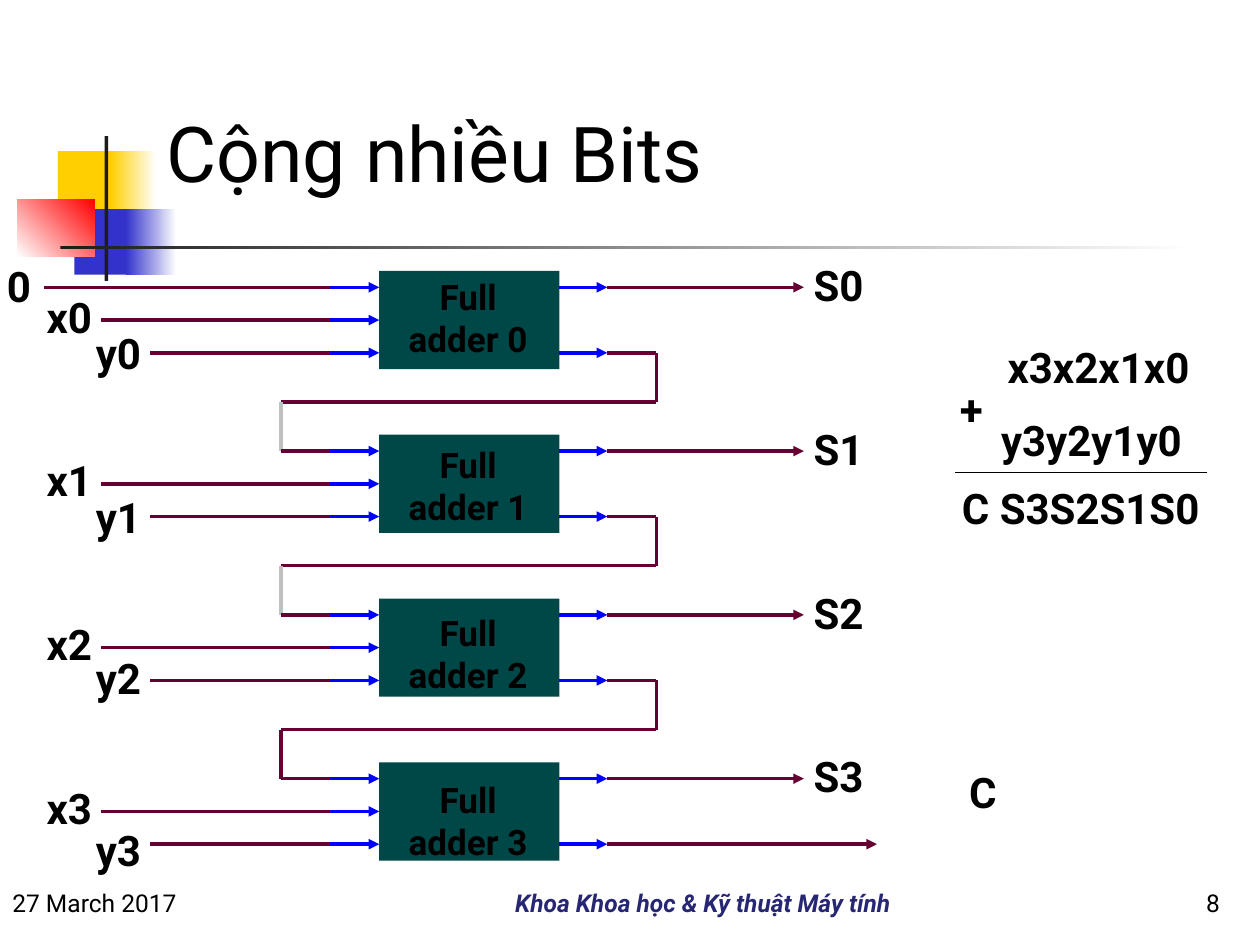
from dataclasses import dataclass

from lxml import etree
from pptx import Presentation
from pptx import util as u
from pptx.dml.color import RGBColor
from pptx.enum import shapes, text
from pptx.oxml.ns import qn


@dataclass(frozen=True)
class Theme:
    font: str = "Roboto"
    ink: str = "000000"
    footer: str = "262673"
    adder: str = "004747"
    port: str = "0000FF"
    wire: str = "660033"
    pale_wire: str = "C0C0C0"
    yellow: str = "FFCF01"
    blue: str = "3333CC"
    red: str = "FF0000"
    rule: str = "1C1C1C"
    white: str = "FFFFFF"
    title_size: int = 44
    label_size: int = 24
    adder_size: int = 20
    footer_size: int = 14
    wire_width: float = 2
    sum_width: float = 0.75


THEME = Theme()
PITCH = 1.3
PORT_TOP, PORT_GAP = 2.28, 0.26
CARRY_IN, PORT_IN, BOX_LEFT = 2.23, 2.62, 3.01
BOX_RIGHT, PORT_OUT, CARRY_OUT = 4.44, 4.82, 5.21
SUM_END, FINAL_CARRY_END = 6.38, 6.96
X_START, Y_START, ZERO_START = 0.8, 1.19, 0.35
Y_LABEL_TOPS = [2.56, 3.86, 5.14, 6.5]
CENTER, RIGHT = text.PP_ALIGN.CENTER, text.PP_ALIGN.RIGHT


def inches(*lengths):
    return [u.Inches(length) for length in lengths]


def color(value):
    return RGBColor.from_string(value)


def format_runs(text_frame, size, ink=THEME.ink, bold=False, italic=False, align=None):
    for paragraph in text_frame.paragraphs:
        paragraph.alignment = align
        for run in paragraph.runs:
            run.font.name = THEME.font
            run.font.size = u.Pt(size)
            run.font.color.rgb = color(ink)
            run.font.bold = bold
            run.font.italic = italic


def add_block(slide, box, fill, end=None, angle=0):
    shape = slide.shapes.add_shape(shapes.MSO_SHAPE.RECTANGLE, *inches(*box))
    shape.shadow.inherit = False
    shape.line.fill.background()
    if end is None:
        shape.fill.solid()
        shape.fill.fore_color.rgb = color(fill)
    else:
        shape.fill.gradient()
        shape.fill.gradient_angle = angle
        for stop, value in zip(shape.fill.gradient_stops, (fill, end)):
            stop.color.rgb = color(value)
    return shape


def add_wire(slide, start, end, ink=THEME.wire, arrow=False, width=THEME.wire_width):
    connector = slide.shapes.add_connector(
        shapes.MSO_CONNECTOR.STRAIGHT, *inches(*start, *end))
    connector.line.color.rgb = color(ink)
    connector.line.width = u.Pt(width)
    if arrow:
        tail = etree.SubElement(connector.line._get_or_add_ln(), qn("a:tailEnd"))
        tail.set("type", "triangle")
    etree.SubElement(connector._element.spPr, qn("a:effectLst"))
    return connector


def add_label(slide, box, words, size=THEME.label_size, align=CENTER):
    shape = slide.shapes.add_textbox(*inches(*box))
    frame = shape.text_frame
    frame.word_wrap = True
    frame.margin_left = frame.margin_right = u.Inches(0.04)
    frame.margin_top = frame.margin_bottom = u.Inches(0.04)
    frame.text = words
    format_runs(frame, size, bold=True, align=align)


def add_footer(slide, box, words, align=None, ink=THEME.ink, strong=False):
    shape = slide.shapes.add_textbox(*inches(*box))
    frame = shape.text_frame
    frame.word_wrap = True
    frame.vertical_anchor = text.MSO_ANCHOR.BOTTOM
    frame.text = words
    format_runs(frame, THEME.footer_size, ink, strong, strong, align)


def add_decoration(slide):
    add_block(slide, (0.46, 1.2, 0.48, 0.52), THEME.yellow)
    add_block(slide, (0.88, 1.2, 0.36, 0.52), THEME.yellow, THEME.white)
    add_block(slide, (0.59, 1.66, 0.46, 0.52), THEME.blue)
    add_block(slide, (1, 1.66, 0.4, 0.52), THEME.blue, THEME.white)
    add_block(slide, (0.14, 1.58, 0.61, 0.46), THEME.white, THEME.red, 45)
    add_block(slide, (0.83, 1.08, 0.03, 1.15), THEME.rule)
    add_block(slide, (0.48, 1.95, 9, 0.03), THEME.rule, THEME.white)


def set_title(slide, words):
    title = slide.shapes.title
    title.left, title.top, title.width, title.height = inches(1.22, 0.75, 8.14, 0.9)
    frame = title.text_frame
    frame.text = words
    frame.auto_size = text.MSO_AUTO_SIZE.NONE
    frame.vertical_anchor = text.MSO_ANCHOR.MIDDLE
    format_runs(frame, THEME.title_size, align=text.PP_ALIGN.LEFT)


def add_adder(slide, index):
    shift = index * PITCH
    first, middle, last = [PORT_TOP + shift + row * PORT_GAP for row in range(3)]
    box = add_block(slide, (BOX_LEFT, 2.15 + shift, BOX_RIGHT - BOX_LEFT, 0.78), THEME.adder)

    for y in (first, middle, last):
        port = add_wire(slide, (PORT_IN, y), (BOX_LEFT, y), THEME.port, True)
        if y == middle:
            port.end_connect(box, 1)
    for y in (first, last):
        add_wire(slide, (BOX_RIGHT, y), (PORT_OUT, y), THEME.port, True)

    add_wire(slide, (X_START, middle), (PORT_IN, middle))
    add_wire(slide, (Y_START, last), (PORT_IN, last))
    add_wire(slide, (PORT_OUT, first), (SUM_END, first), arrow=True)

    add_label(slide, (0.27, 2.27 + shift, 0.56, 0.48), f"x{index}")
    add_label(slide, (0.66, Y_LABEL_TOPS[index], 0.56, 0.48), f"y{index}")
    add_label(slide, (SUM_END, 2.02 + shift, 0.55, 0.57), f"S{index}")
    add_label(slide, (3.06, 2.15 + index * 1.33, 1.31, 0.55),
              f"Full adder {index}", THEME.adder_size)


def add_carry(slide, index, drop_ink):
    start = PORT_TOP + index * PITCH + 2 * PORT_GAP
    end = PORT_TOP + (index + 1) * PITCH
    turn = (start + end) / 2
    add_wire(slide, (PORT_OUT, start), (CARRY_OUT, start))
    add_wire(slide, (CARRY_OUT, start), (CARRY_OUT, turn))
    add_wire(slide, (CARRY_IN, turn), (CARRY_OUT, turn))
    add_wire(slide, (CARRY_IN, turn), (CARRY_IN, end), drop_ink)
    add_wire(slide, (CARRY_IN, end), (PORT_IN, end))


def add_sum(slide):
    add_label(slide, (7.2, 2.67, 2.28, 0.52), "x3x2x1x0", align=RIGHT)
    add_label(slide, (7.41, 3, 0.43, 0.52), "+", align=RIGHT)
    add_label(slide, (7.25, 3.25, 2.17, 0.52), "y3y2y1y0", align=RIGHT)
    add_label(slide, (6.25, 3.79, 3.31, 0.54), "C S3S2S1S0", align=RIGHT)
    add_wire(slide, (7.58, 3.75), (9.58, 3.75), THEME.ink, width=THEME.sum_width)


def main():
    presentation = Presentation()
    presentation.slide_width, presentation.slide_height = inches(10, 7.5)
    slide = presentation.slides.add_slide(presentation.slide_layouts[5])
    add_decoration(slide)
    set_title(slide, "Cộng nhiều Bits")

    for index in range(4):
        add_adder(slide, index)
    for index, ink in enumerate((THEME.pale_wire, THEME.pale_wire, THEME.wire)):
        add_carry(slide, index, ink)

    add_label(slide, (0, 2.03, 0.3, 0.46), "0")
    add_wire(slide, (ZERO_START, PORT_TOP), (PORT_IN, PORT_TOP))
    final_carry = PORT_TOP + 3 * PITCH + 2 * PORT_GAP
    add_wire(slide, (PORT_OUT, final_carry), (FINAL_CARRY_END, final_carry), arrow=True)
    add_label(slide, (7.52, 6.04, 0.56, 0.57), "C")
    add_sum(slide)

    add_footer(slide, (0, 7, 2.33, 0.33), "27 March 2017")
    add_footer(slide, (2.58, 7, 6, 0.33), "Khoa Khoa học & Kỹ thuật Máy tính",
               CENTER, THEME.footer, True)
    add_footer(slide, (8.75, 6.83, 1.03, 0.5), "8", RIGHT)
    presentation.save("out.pptx")


if __name__ == "__main__":
    main()
